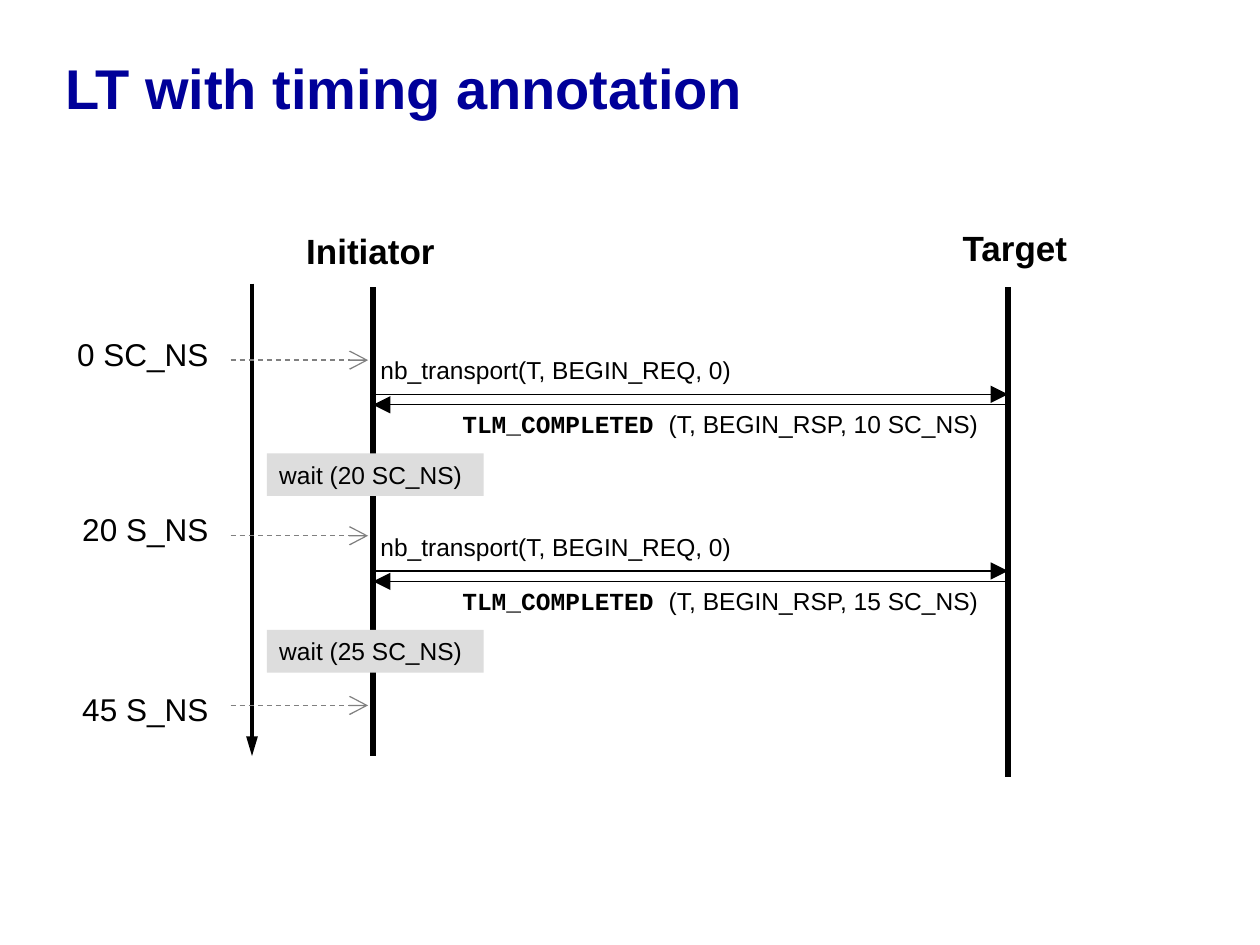
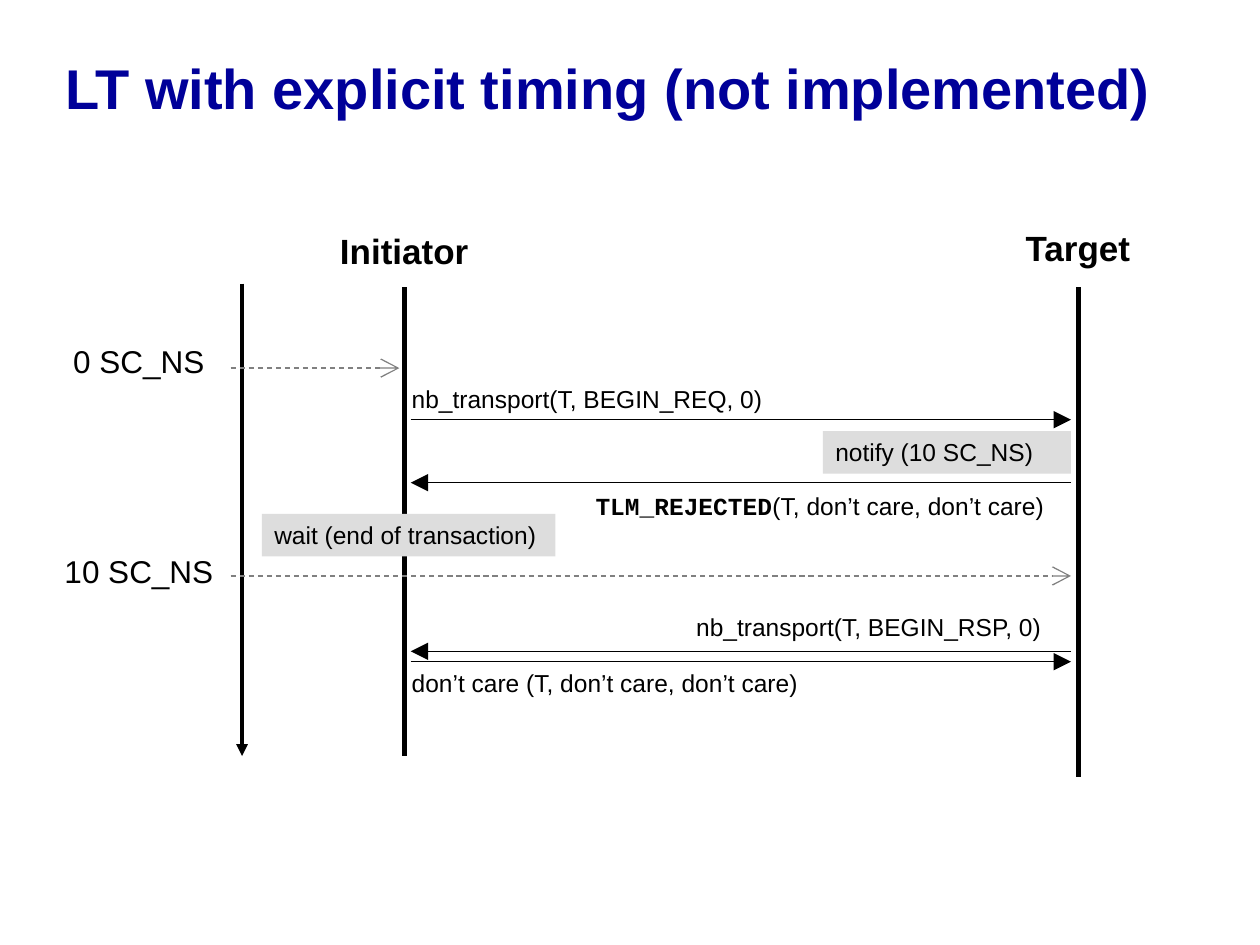
from dataclasses import dataclass

from lxml import etree
from pptx import Presentation
from pptx.dml.color import RGBColor
from pptx.enum import dml, shapes, text
from pptx.oxml import ns
from pptx.util import Cm, Pt

LEFT, CENTER, RIGHT = text.PP_ALIGN.LEFT, text.PP_ALIGN.CENTER, text.PP_ALIGN.RIGHT


@dataclass(frozen=True)
class Theme:
    font: str = "Arial"
    code_font: str = "Courier New"
    title: RGBColor = RGBColor(0x00, 0x00, 0x99)
    ink: RGBColor = RGBColor(0x00, 0x00, 0x00)
    guide: RGBColor = RGBColor(0x80, 0x80, 0x80)
    box: RGBColor = RGBColor(0xDD, 0xDD, 0xDD)
    title_size: int = 32
    head_size: int = 20
    time_size: int = 18
    body_size: int = 14


THEME = Theme()
LINE_TOP, AXIS_TOP, LINE_END = 5.79, 5.72, 15.24
TARGET_END = 15.67
TICK_START = 4.65
ROW = 0.86


def write(sp, content, size=THEME.body_size, color=THEME.ink, bold=False,
          align=LEFT, anchor=text.MSO_ANCHOR.TOP, code="", spacing=None):
    """Fill a shape with one paragraph; code is a bold monospaced lead-in."""
    tf = sp.text_frame
    tf.word_wrap = True
    tf.vertical_anchor = anchor
    p = tf.paragraphs[0]
    p.alignment = align
    if spacing:
        p.line_spacing = spacing
    runs = [(code, THEME.code_font, True), (content, THEME.font, bold)]
    for words, font, heavy in runs:
        if words:
            r = p.add_run()
            r.text = words
            r.font.name, r.font.size, r.font.bold = font, Pt(size), heavy
            r.font.color.rgb = color


def label(slide, x, y, content, width=11, height=ROW, align=LEFT, **fmt):
    """Place text with its left edge, centre or right edge at x."""
    left = x - {LEFT: 0, CENTER: width / 2, RIGHT: width}[align]
    sp = slide.shapes.add_textbox(Cm(left), Cm(y), Cm(width), Cm(height))
    write(sp, content, align=align, **fmt)


def line(slide, start, end, width=0.75, color=THEME.ink, head=None,
         head_width="lg", head_length="lg", dashed=False):
    ends = [Cm(v) for v in (*start, *end)]
    c = slide.shapes.add_connector(shapes.MSO_CONNECTOR.STRAIGHT, *ends)
    c.line.width = Pt(width)
    c.line.color.rgb = color
    if dashed:
        c.line.dash_style = dml.MSO_LINE.DASH
    if head:
        etree.SubElement(c.line._get_or_add_ln(), ns.qn("a:tailEnd"),
                         type=head, w=head_width, len=head_length)
    etree.SubElement(c._element.spPr, ns.qn("a:effectLst"))


def message(slide, x1, x2, y):
    line(slide, (x1, y), (x2, y), head="triangle")


def time_tick(slide, content, y, end, label_right, label_top):
    label(slide, label_right, label_top, content, width=4, height=1.02,
          align=RIGHT, size=THEME.time_size)
    line(slide, (TICK_START, y), (end, y), color=THEME.guide,
         head="arrow", dashed=True)


def action_box(slide, x, y, width, content):
    sp = slide.shapes.add_shape(shapes.MSO_SHAPE.RECTANGLE,
                                Cm(x), Cm(y), Cm(width), Cm(ROW))
    sp.shadow.inherit = False
    sp.fill.solid()
    sp.fill.fore_color.rgb = THEME.box
    sp.line.fill.background()
    write(sp, content)


def sequence_slide(prs, title, axis, initiator, target, head_centres, axis_head):
    """Add a slide with title, time axis and the two named lifelines."""
    slide = prs.slides.add_slide(prs.slide_layouts[6])
    label(slide, 1.07, 0.76, title, width=22.86, height=2.21, spacing=0.85,
          size=THEME.title_size, color=THEME.title, bold=True,
          anchor=text.MSO_ANCHOR.MIDDLE)
    for name, centre, y in zip(("Initiator", "Target"), head_centres, (4.5, 4.45)):
        label(slide, centre, y, name, width=4, height=1.12, align=CENTER,
              size=THEME.head_size, bold=True)
    line(slide, (initiator, LINE_TOP), (initiator, LINE_END), width=3)
    line(slide, (target, LINE_TOP), (target, TARGET_END), width=3)
    line(slide, (axis, AXIS_TOP), (axis, LINE_END), width=2.25,
         head="triangle", head_width="med", head_length=axis_head)
    return slide


def annotated_timing(prs):
    initiator, target = 7.52, 20.32
    slide = sequence_slide(prs, "LT with timing annotation", 5.08,
                           initiator, target, (7.47, 20.46), "lg")
    for i, (delay, wait) in enumerate(((10, 20), (15, 25))):
        y = 7.95 + 3.56 * i
        label(slide, initiator - 0.1, y - 0.91, "nb_transport(T, BEGIN_REQ, 0)")
        message(slide, initiator, target, y)
        message(slide, target, initiator, y + 0.21)
        label(slide, 19.97, y + 0.18, f"(T, BEGIN_RSP, {delay} SC_NS)",
              align=RIGHT, code="TLM_COMPLETED ")
        action_box(slide, 5.38, y + 1.19, 4.37, f"wait ({wait} SC_NS)")
    for content, y, top in (("0 SC_NS", 7.26, 6.63), ("20 S_NS", 10.8, 10.16),
                            ("45 S_NS", 14.22, 13.79)):
        time_tick(slide, content, y, initiator - 0.1, 4.45, top)


def explicit_timing(prs):
    slide = sequence_slide(prs, "LT with explicit timing (not implemented)", 4.88,
                           8.15, 21.74, (8.15, 21.73), "med")
    near, far = 8.28, 21.59
    label(slide, 8.05, 7.62, "nb_transport(T, BEGIN_REQ, 0)")
    message(slide, near, far, 8.46)
    action_box(slide, 16.59, 8.69, 5, "notify (10 SC_NS)")
    message(slide, far, near, 9.73)
    label(slide, 21.3, 9.78, "(T, don’t care, don’t care)",
          align=RIGHT, code="TLM_REJECTED")
    action_box(slide, 5.28, 10.36, 5.92, "wait (end of transaction)")
    label(slide, 21.24, 12.22, "nb_transport(T, BEGIN_RSP, 0)", align=RIGHT)
    message(slide, far, near, 13.13)
    message(slide, near, far, 13.34)
    label(slide, 8.05, 13.34, "don’t care (T, don’t care, don’t care)")
    time_tick(slide, "0 SC_NS", 7.42, 8.05, 4.37, 6.78)
    time_tick(slide, "10 SC_NS", 11.61, far, 4.55, 11)


def main():
    prs = Presentation()
    prs.slide_width, prs.slide_height = Cm(25.4), Cm(19.05)
    annotated_timing(prs)
    explicit_timing(prs)
    prs.save("out.pptx")


if __name__ == "__main__":
    main()
